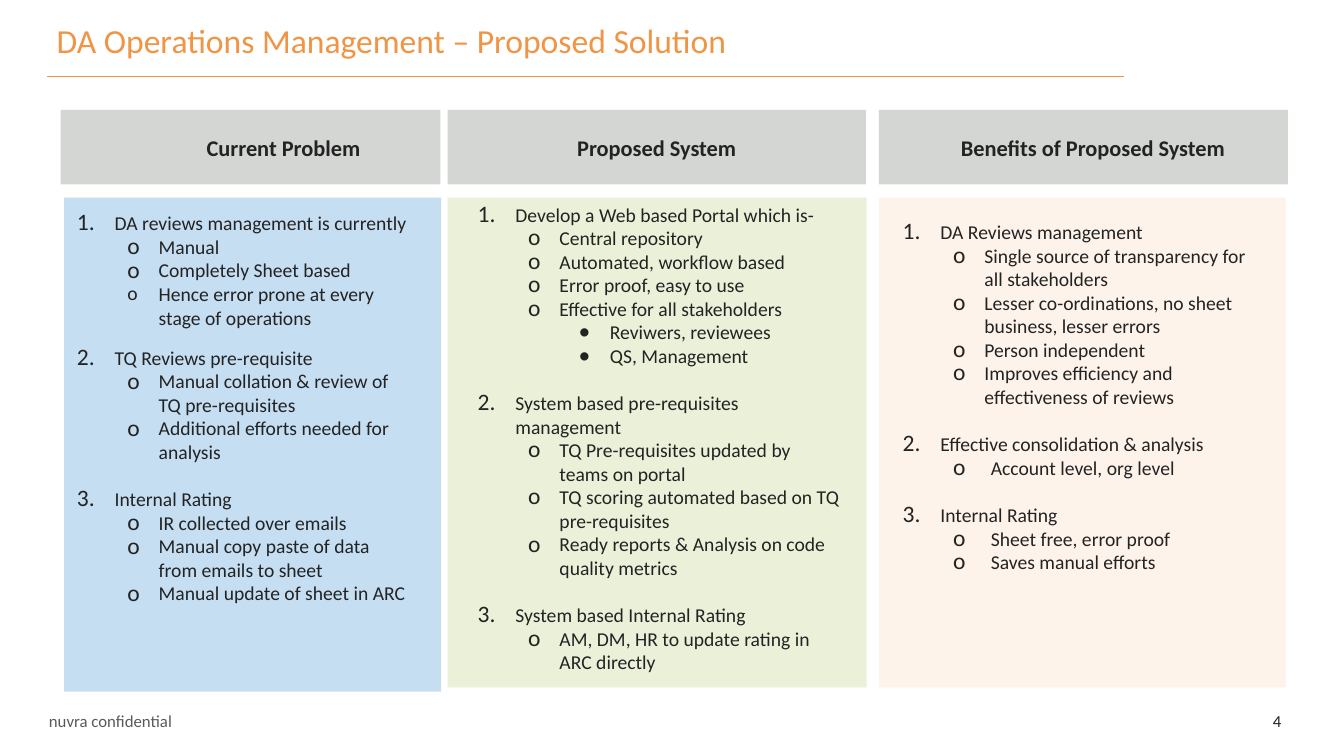
from dataclasses import dataclass

from lxml import etree
from pptx import Presentation
from pptx.dml.color import RGBColor
from pptx.enum.shapes import MSO_CONNECTOR, MSO_SHAPE
from pptx.enum.text import MSO_ANCHOR, PP_ALIGN
from pptx.oxml.ns import qn
from pptx.util import Cm, Pt

RECTANGLE = MSO_SHAPE.RECTANGLE
STRAIGHT = MSO_CONNECTOR.STRAIGHT
TOP, MIDDLE = MSO_ANCHOR.TOP, MSO_ANCHOR.MIDDLE
LEFT, CENTER = PP_ALIGN.LEFT, PP_ALIGN.CENTER

ORANGE = RGBColor(0xEF, 0x95, 0x45)
DARK = RGBColor(0x23, 0x23, 0x23)
GRAY = RGBColor(0x5A, 0x5A, 0x5A)
HEADER_GRAY = RGBColor(0xD4, 0xD6, 0xD4)
BLUE = RGBColor(0xC5, 0xDE, 0xF2)
GREEN = RGBColor(0xEB, 0xF0, 0xD9)
PEACH = RGBColor(0xFC, 0xEA, 0xDA)

FONT = "Calibri"
HEADER_TOP, HEADER_HEIGHT, PANEL_TOP = 2.77, 1.88, 4.98
LINE_GAP = 17


@dataclass
class Style:
    level: int
    margin: float
    hanging: float
    bullet: str
    bullet_size: int = 120


TOPIC = Style(0, 0.95, 0.95, "")
POINT = Style(1, 2.06, 0.79, "o")
SMALL_POINT = Style(1, 2.06, 0.79, "o", 100)
WIDE_POINT = Style(1, 2.22, 0.95, "o")
DETAIL = Style(2, 3.33, 0.79, "•")


@dataclass
class Column:
    title: str
    header: tuple
    title_shift: float
    panel: tuple
    color: RGBColor
    opacity: int
    text_box: tuple
    gaps: tuple
    items: list


COLUMNS = [
    Column(
        "Current Problem", (1.53, 9.57), 1.66, (1.62, 9.5, 12.45), BLUE, 100,
        (1.69, 5.2, 8.86, 10.85), (0, 12, LINE_GAP),
        [
            (TOPIC, "DA reviews management is currently"),
            (POINT, "Manual"),
            (POINT, "Completely Sheet based"),
            (SMALL_POINT, "Hence error prone at every stage of operations"),
            (TOPIC, "TQ Reviews pre-requisite"),
            (POINT, "Manual collation & review of TQ pre-requisites"),
            (POINT, "Additional efforts needed for analysis"),
            (TOPIC, "Internal Rating"),
            (POINT, "IR collected over emails"),
            (POINT, "Manual copy paste of data from emails to sheet"),
            (POINT, "Manual update of sheet in ARC"),
        ],
    ),
    Column(
        "Proposed System", (11.28, 10.54), 0, (11.28, 10.56, 12.34), GREEN, 100,
        (11.79, 4.98, 9.63, 12.83), (0, LINE_GAP, LINE_GAP),
        [
            (TOPIC, "Develop a Web based Portal which is-"),
            (POINT, "Central repository"),
            (POINT, "Automated, workflow based"),
            (POINT, "Error proof, easy to use"),
            (POINT, "Effective for all stakeholders"),
            (DETAIL, "Reviwers, reviewees"),
            (DETAIL, "QS, Management"),
            (TOPIC, "System based pre-requisites management"),
            (POINT, "TQ Pre-requisites updated by teams on portal"),
            (POINT, "TQ scoring automated based on TQ pre-requisites"),
            (POINT, "Ready reports & Analysis on code quality metrics"),
            (TOPIC, "System based Internal Rating"),
            (POINT, "AM, DM, HR to update rating in ARC directly"),
        ],
    ),
    Column(
        "Benefits of Proposed System", (22.15, 10.31), 0.48,
        (22.15, 10.26, 12.34), PEACH, 54,
        (22.5, 5.42, 9.45, 9.83), (0, LINE_GAP, LINE_GAP),
        [
            (TOPIC, "DA Reviews management"),
            (POINT, "Single source of transparency for all stakeholders"),
            (POINT, "Lesser co-ordinations, no sheet business, lesser errors"),
            (POINT, "Person independent"),
            (POINT, "Improves efficiency and effectiveness of reviews"),
            (TOPIC, "Effective consolidation & analysis"),
            (WIDE_POINT, "Account level, org level"),
            (TOPIC, "Internal Rating"),
            (WIDE_POINT, "Sheet free, error proof"),
            (WIDE_POINT, "Saves manual efforts"),
        ],
    ),
]


def format_text(para, size, color, bold=False):
    for span in para.runs:
        span.font.name = FONT
        span.font.size = Pt(size)
        span.font.color.rgb = color
        span.font.bold = bold


def add_text(page, place, text, size, color, align=LEFT, anchor=TOP):
    box = page.shapes.add_textbox(*map(Cm, place))
    frame = box.text_frame
    frame.word_wrap = True
    frame.vertical_anchor = anchor
    frame.text = text
    para = frame.paragraphs[0]
    para.alignment = align
    format_text(para, size, color)
    return para


def add_rectangle(page, place, color, opacity=100):
    box = page.shapes.add_shape(RECTANGLE, *map(Cm, place))
    box.shadow.inherit = False
    box.fill.solid()
    box.fill.fore_color.rgb = color
    box.line.fill.background()
    if opacity < 100:
        tone = box.fill._xPr.find(qn("a:solidFill"))[0]
        etree.SubElement(tone, qn("a:alpha"), val=str(opacity * 1000))
    return box


def add_header(page, column):
    left, width = column.header
    box = add_rectangle(page, (left, HEADER_TOP, width, HEADER_HEIGHT), HEADER_GRAY)
    frame = box.text_frame
    frame.word_wrap = True
    frame.margin_left = Cm(0.25 + column.title_shift)
    frame.vertical_anchor = MIDDLE
    frame.text = column.title
    para = frame.paragraphs[0]
    para.alignment = CENTER
    format_text(para, 16, DARK, bold=True)


def set_bullet(para, style):
    properties = para._p.get_or_add_pPr()
    properties.set("marL", str(Cm(style.margin)))
    properties.set("indent", str(-Cm(style.hanging)))
    etree.SubElement(properties, qn("a:buSzPct"), val=str(style.bullet_size * 1000))
    etree.SubElement(properties, qn("a:buFont"), typeface=FONT)
    if style.bullet:
        etree.SubElement(properties, qn("a:buChar"), char=style.bullet)
    else:
        etree.SubElement(properties, qn("a:buAutoNum"), type="arabicPeriod")


def add_list(page, column):
    box = page.shapes.add_textbox(*map(Cm, column.text_box))
    frame = box.text_frame
    frame.word_wrap = True
    frame.text = "\n".join(text for _, text in column.items)
    gaps = iter(column.gaps)
    for para, (style, _) in zip(frame.paragraphs, column.items):
        para.level = style.level
        para.space_before = Pt(next(gaps) if style is TOPIC else 0)
        set_bullet(para, style)
        format_text(para, 14, DARK)


def add_column(page, column):
    left, width, height = column.panel
    add_rectangle(page, (left, PANEL_TOP, width, height), column.color, column.opacity)
    add_header(page, column)
    add_list(page, column)


def add_rule(page, left, right, top):
    rule = page.shapes.add_connector(STRAIGHT, Cm(left), Cm(top), Cm(right), Cm(top))
    rule.line.color.rgb = ORANGE
    rule.line.width = Pt(1)
    etree.SubElement(rule._element.spPr, qn("a:effectLst"))


def main():
    deck = Presentation()
    deck.slide_width, deck.slide_height = Cm(33.87), Cm(19.05)
    page = deck.slides.add_slide(deck.slide_layouts[6])
    add_rule(page, 1.18, 28.32, 1.93)
    title = add_text(page, (1.18, 0.48, 27.15, 1.68),
                     "DA Operations Management – Proposed Solution", 24, ORANGE)
    title.line_spacing = 0.9
    for column in COLUMNS:
        add_column(page, column)
    add_text(page, (0.46, 17.84, 4.65, 0.64), "nuvra confidential", 12, GRAY, CENTER, MIDDLE)
    add_text(page, (31.83, 17.78, 1.02, 0.76), "4", 12, DARK)
    deck.save("out.pptx")


main()
